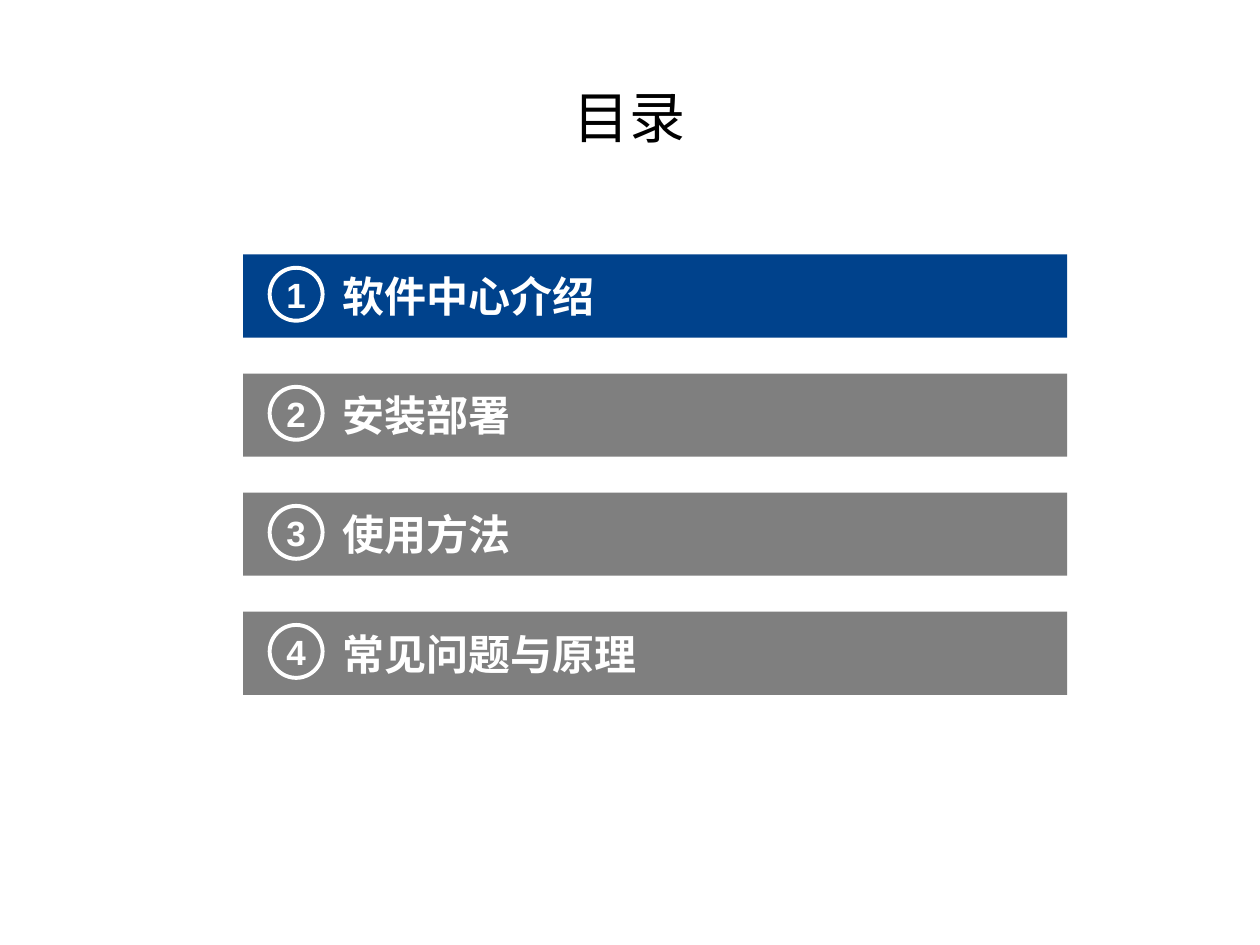
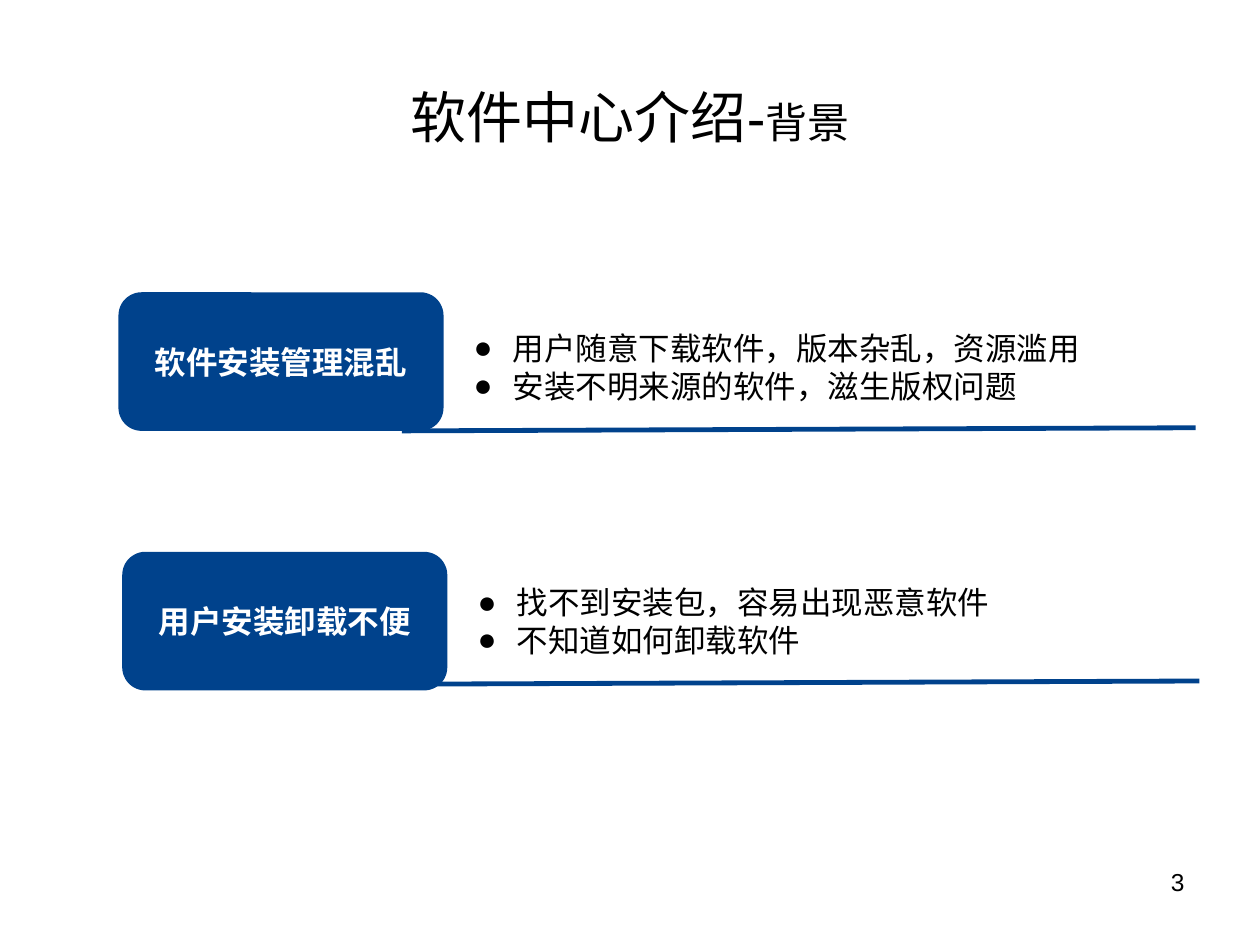
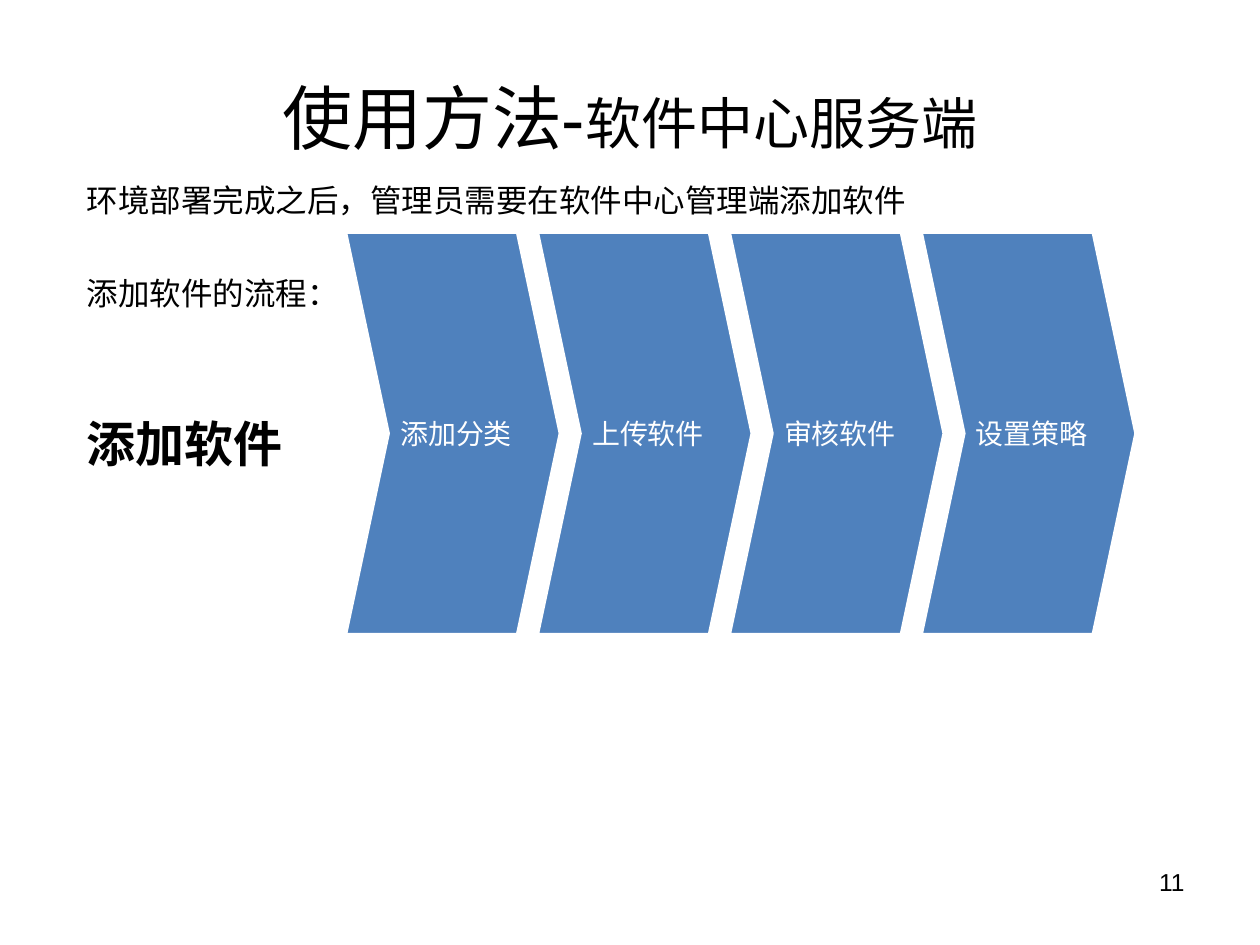
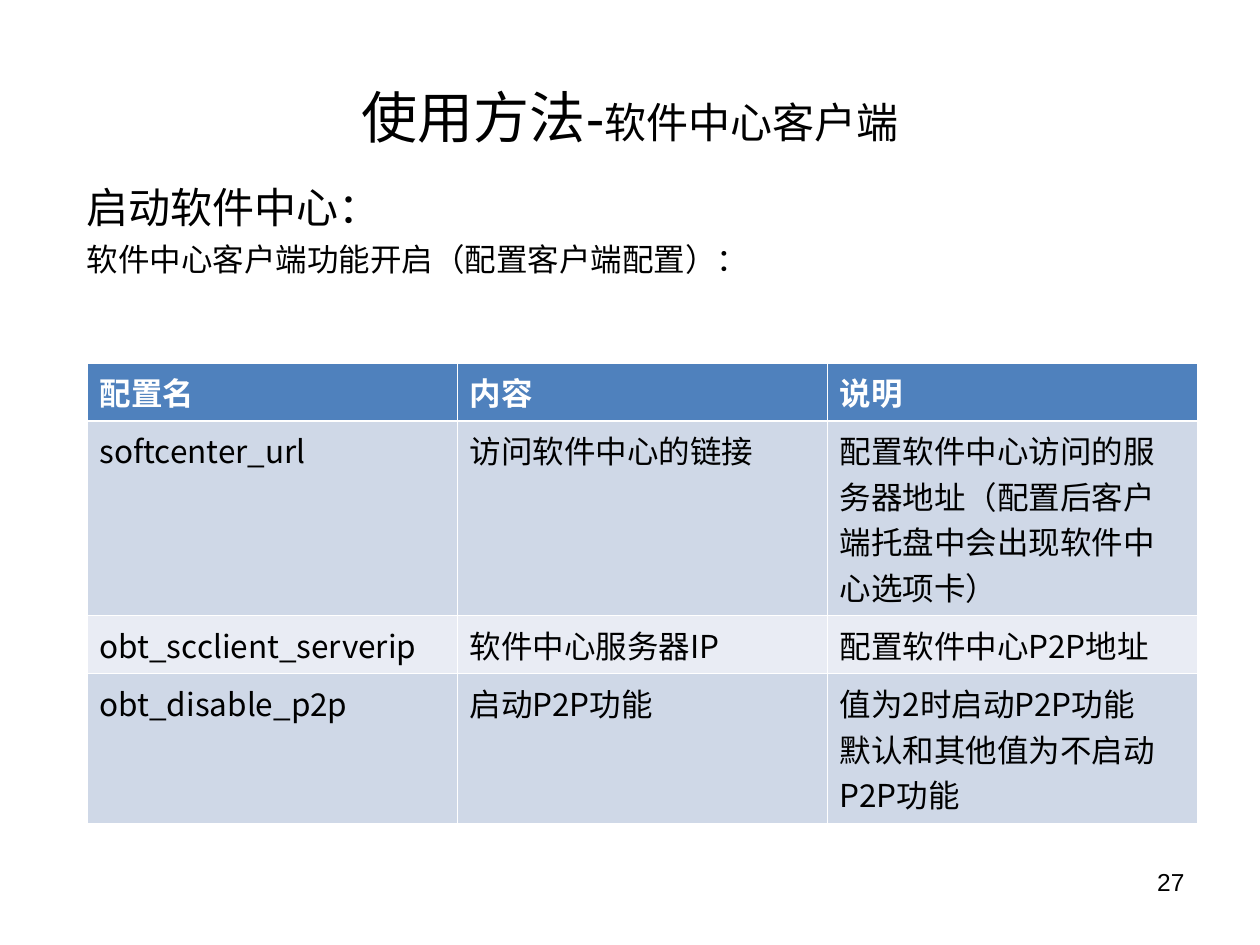
from dataclasses import dataclass

from lxml import etree
from pptx import Presentation
from pptx import util as u
from pptx.dml import color
from pptx.enum import shapes, text
from pptx.oxml import ns


@dataclass(frozen=True)
class Theme:
    black: str = "000000"
    white: str = "FFFFFF"
    navy: str = "00428C"
    grey: str = "7F7F7F"
    blue: str = "4F81BD"
    band_dark: str = "CFD8E7"
    band_light: str = "E9ECF4"
    font: str = "Arial"
    cjk_font: str = "Noto Sans CJK SC"
    large: int = 40
    title: int = 32
    label: int = 28
    heading: int = 24
    number: int = 20
    body: int = 18
    step: int = 16
    footer: int = 14


theme = Theme()
presentation = Presentation()
presentation.slide_width = u.Inches(10)
presentation.slide_height = u.Inches(7.5)
COLUMN = presentation.slide_width / 100
ROW = presentation.slide_height / 75


def place(shape, left, top, width, height, fill=None, outline=None, weight=1):
    shape.left, shape.top = round(left * COLUMN), round(top * ROW)
    shape.width, shape.height = round(width * COLUMN), round(height * ROW)
    if fill:
        shape.shadow.inherit = False
        shape.fill.solid()
        shape.fill.fore_color.rgb = color.RGBColor.from_string(fill)
        if outline:
            shape.line.color.rgb = color.RGBColor.from_string(outline)
            shape.line.width = u.Pt(weight)
        else:
            shape.line.fill.background()
    return shape


def write(frame, lines, size, ink=theme.black, font=theme.font, bold=False,
          align=text.PP_ALIGN.LEFT, anchor=None, insets=(0.1, 0.05, 0.1, 0.05),
          pitch=None, bullet=None, indent=0):
    frame.auto_size = text.MSO_AUTO_SIZE.NONE
    frame.word_wrap = True
    if anchor is not None:
        frame.vertical_anchor = anchor
    frame.margin_left, frame.margin_top, frame.margin_right, frame.margin_bottom = map(u.Inches, insets)
    frame.text = "\n".join(lines)
    for paragraph in frame.paragraphs:
        properties = paragraph._p.get_or_add_pPr()
        properties.set("marL", str(u.Inches(indent)))
        properties.set("indent", str(-u.Inches(indent)))
        if bullet:
            etree.SubElement(properties, ns.qn("a:buChar")).set("char", bullet)
        else:
            etree.SubElement(properties, ns.qn("a:buNone"))
        paragraph.alignment = align
        paragraph.space_before = u.Pt(0)
        if pitch:
            paragraph.line_spacing = u.Pt(pitch)
        paragraph.font.name = font
        paragraph.font.size = u.Pt(size)
        paragraph.font.bold = bold
        paragraph.font.color.rgb = color.RGBColor.from_string(ink)
    return frame


CENTER = text.PP_ALIGN.CENTER
MIDDLE = text.MSO_ANCHOR.MIDDLE
TOP = text.MSO_ANCHOR.TOP
TITLE_ONLY, TITLE_AND_BODY, TITLE_AND_TWO_BODIES = 5, 1, 3

pages = [
    (TITLE_ONLY, "目录", None, theme.title, None, None),
    (TITLE_AND_TWO_BODIES, "软件中心介绍-", "背景", theme.title, theme.heading, "3"),
    (TITLE_AND_BODY, "使用方法-", "软件中心服务端", theme.large, theme.title, "11"),
    (TITLE_AND_BODY, "使用方法-", "软件中心客户端", theme.title, theme.heading, "27"),
]
slides = []
for layout, heading, topic, heading_size, topic_size, page_number in pages:
    slide = presentation.slides.add_slide(presentation.slide_layouts[layout])
    title = place(slide.shapes.title, 5, 3, 90, 12.5)
    title_frame = write(title.text_frame, [heading], heading_size, align=CENTER, anchor=MIDDLE)
    if topic:
        run = title_frame.paragraphs[0].add_run()
        run.text = topic
        run.font.size = u.Pt(topic_size)
    if page_number:
        footer = place(slide.shapes.add_textbox(0, 0, 0, 0), 71.7, 68.3, 23.3, 5.2)
        write(footer.text_frame, [page_number], theme.footer, align=text.PP_ALIGN.RIGHT)
    slides.append(slide)
agenda_slide, background_slide, process_slide, settings_slide = slides

chapters = ["软件中心介绍", "安装部署", "使用方法", "常见问题与原理"]
for index, chapter in enumerate(chapters):
    top = 20.2 + index * 9.45
    fill = theme.navy if index == 0 else theme.grey
    bar = place(agenda_slide.shapes.add_shape(shapes.MSO_SHAPE.RECTANGLE, 0, 0, 0, 0),
                19.3, top, 65.4, 6.6, fill)
    write(bar.text_frame, [chapter], theme.heading, theme.white, bold=True,
          anchor=MIDDLE, insets=(0.79, 0.1, 0.2, 0.1))
    circle = place(agenda_slide.shapes.add_shape(shapes.MSO_SHAPE.OVAL, 0, 0, 0, 0),
                   21.4, top + 1.05, 4.2, 4.2, fill, theme.white, 2.25)
    write(circle.text_frame, [str(index + 1)], theme.number, theme.white, bold=True,
          align=CENTER, anchor=MIDDLE, insets=(0, 0, 0, 0))
    agenda_slide.shapes.add_group_shape([bar, circle])

problems = [
    (9.4, 23.2, 25.6, 34.2, "软件安装管理混乱",
     ["用户随意下载软件，版本杂乱，资源滥用", "安装不明来源的软件，滋生版权问题"]),
    (9.7, 43.8, 45.8, 54.3, "用户安装卸载不便",
     ["找不到安装包，容易出现恶意软件", "不知道如何卸载软件"]),
]
for index, (left, top, list_top, line_top, problem, details) in enumerate(problems):
    box = place(background_slide.shapes.add_shape(shapes.MSO_SHAPE.ROUNDED_RECTANGLE, 0, 0, 0, 0),
                left, top, 25.8, 11, theme.navy)
    write(box.text_frame, [problem], theme.body, theme.white, theme.cjk_font, True, CENTER, MIDDLE)
    details_body = place(background_slide.placeholders[index + 1], left + 27.2, list_top, 51.7, 7)
    write(details_body.text_frame, details, theme.body, font=theme.cjk_font, anchor=TOP,
          pitch=theme.body * 1.2, bullet="●", indent=0.31)
    underline = background_slide.shapes.add_connector(
        shapes.MSO_CONNECTOR.STRAIGHT,
        round((left + 22.5) * COLUMN), round(line_top * ROW),
        round((left + 85.5) * COLUMN), round((line_top - 0.25) * ROW))
    underline.line.color.rgb = color.RGBColor.from_string(theme.navy)
    underline.line.width = u.Pt(2.75)
    etree.SubElement(underline._element.spPr, ns.qn("a:effectLst"))

process_body = place(process_slide.placeholders[1], 5.9, 13.9, 88.2, 12.4)
process_frame = write(process_body.text_frame,
                      ["环境部署完成之后，管理员需要在软件中心管理端添加软件", "添加软件的流程："],
                      theme.body, anchor=TOP, pitch=theme.body * 1.2)
process_frame.paragraphs[1].space_before = u.Pt(31)

for index, step in enumerate(["添加分类", "上传软件", "审核软件", "设置策略"]):
    chevron = place(process_slide.shapes.add_shape(shapes.MSO_SHAPE.CHEVRON, 0, 0, 0, 0),
                    27.5 + index * 15.23, 18.5, 16.9, 31.8, theme.blue, theme.white)
    chevron.adjustments[0] = 0.2
    write(chevron.text_frame, [step], theme.step, theme.white, align=CENTER, anchor=MIDDLE,
          insets=(0.07, 0.02, 0.02, 0.02))
    chevron.text_frame.word_wrap = False

process_label = place(process_slide.shapes.add_textbox(0, 0, 0, 0), 5.9, 32.3, 18.3, 5.7)
write(process_label.text_frame, ["添加软件"], theme.label, bold=True)

settings_body = place(settings_slide.placeholders[1], 5.9, 13.9, 88.2, 9.8)
settings_frame = write(settings_body.text_frame,
                       ["启动软件中心：", "软件中心客户端功能开启（配置客户端配置）："],
                       theme.body, anchor=TOP)
settings_frame.paragraphs[0].font.size = u.Pt(theme.heading)
settings_frame.paragraphs[0].font.name = theme.cjk_font
settings_frame.paragraphs[0].line_spacing = u.Pt(theme.heading * 1.2)
settings_frame.paragraphs[1].line_spacing = u.Pt(theme.body * 1.2)
settings_frame.paragraphs[1].space_before = u.Pt(4.5)

settings = [
    (4, theme.blue, [["配置名"], ["内容"], ["说明"]]),
    (13, theme.band_dark, [["softcenter_url"], ["访问软件中心的链接"],
                           ["配置软件中心访问的服务器地址（配置后客户端托盘中会出现软件中心选项卡）"]]),
    (4, theme.band_light, [["obt_scclient_serverip"], ["软件中心服务器IP"], ["配置软件中心P2P地址"]]),
    (10, theme.band_dark, [["obt_disable_p2p"], ["启动P2P功能"],
                           ["值为2时启动P2P功能", "默认和其他值为不启动P2P功能"]]),
]
table = settings_slide.shapes.add_table(
    len(settings), 3, round(6.9 * COLUMN), round(28.8 * ROW),
    round(88.1 * COLUMN), round(31 * ROW)).table
for row_index, (height, fill, entries) in enumerate(settings):
    table.rows[row_index].height = round(height * ROW)
    is_header = row_index == 0
    for column_index, lines in enumerate(entries):
        cell = table.cell(row_index, column_index)
        cell.fill.solid()
        cell.fill.fore_color.rgb = color.RGBColor.from_string(fill)
        write(cell.text_frame, lines, theme.body,
              theme.white if is_header else theme.black,
              theme.font if is_header else theme.cjk_font, is_header, pitch=26)
        cell_properties = cell._tc.get_or_add_tcPr()
        for position, edge in enumerate(["lnL", "lnR", "lnT", "lnB"]):
            is_header_rule = (row_index, edge) in [(0, "lnB"), (1, "lnT")]
            border = etree.Element(ns.qn("a:" + edge))
            border.set("w", str(u.Pt(1.47 if is_header_rule else 0.45)))
            border_fill = etree.SubElement(border, ns.qn("a:solidFill"))
            etree.SubElement(border_fill, ns.qn("a:srgbClr")).set("val", theme.white)
            cell_properties.insert(position, border)

presentation.save("out.pptx")
